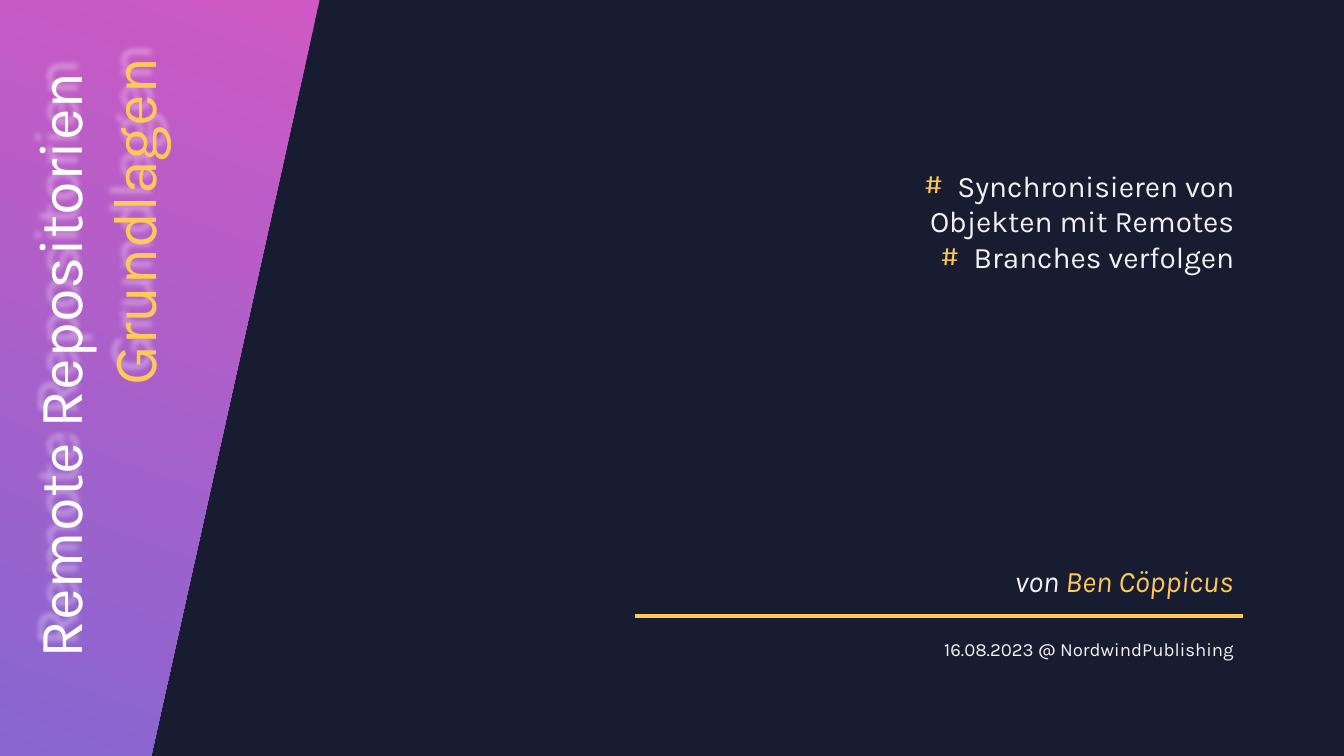
from lxml.etree import SubElement
from pptx import Presentation
from pptx.dml.color import RGBColor
from pptx.enum.shapes import MSO_CONNECTOR
from pptx.enum.text import MSO_AUTO_SIZE, PP_ALIGN
from pptx.oxml.ns import qn
from pptx.util import Inches, Pt

COLORS = {
    "night": "171C30",
    "pink": "CE59C4",
    "violet": "8766D0",
    "gold": "FFC955",
    "white": "FFFFFF",
    "pale": "F2F2F5",
}


def color(name):
    return RGBColor.from_string(COLORS[name])


def add_text(page, position, paragraphs, size, italic=None):
    """Add a right-aligned box; each paragraph is a list of (text, color)."""
    box = page.shapes.add_textbox(*[Inches(value) for value in position])
    frame = box.text_frame
    frame.word_wrap = True
    frame.auto_size = MSO_AUTO_SIZE.SHAPE_TO_FIT_TEXT
    for index, runs in enumerate(paragraphs):
        para = frame.add_paragraph() if index else frame.paragraphs[0]
        para.alignment = PP_ALIGN.RIGHT
        for text, color_name in runs:
            span = para.add_run()
            span.text = text
            span.font.name = "Karla"
            span.font.size = Pt(size)
            span.font.italic = italic
            span.font.color.rgb = color(color_name)
    return box


deck = Presentation()
deck.slide_width = Inches(13.33)
deck.slide_height = Inches(7.5)
page = deck.slides.add_slide(deck.slide_layouts[6])
page.background.fill.solid()
page.background.fill.fore_color.rgb = color("night")

# Slanted gradient panel
outline = page.shapes.build_freeform(0, 0, scale=Inches(1) / 100)
outline.add_line_segments([(317, 0), (150, 750), (0, 750)], close=True)
panel = outline.convert_to_shape()
panel.shadow.inherit = False
panel.line.fill.background()
panel.fill.gradient()
panel.fill.gradient_angle = 250
for stop, name, place in zip(panel.fill.gradient_stops, ("pink", "violet"), (0, 1)):
    stop.color.rgb = color(name)
    stop.position = place

# Vertical title with a soft light shadow
title = add_text(page, (-2.33, 2.96, 6.56, 1.58),
                 [[("Remote Repositorien ", "white")], [("Grundlagen", "gold")]], 44)
title.rotation = 270
effects = SubElement(title._element.spPr, qn("a:effectLst"))
shadow = SubElement(effects, qn("a:outerShdw"), blurRad=str(Pt(4)), dist=str(Pt(10)),
                    dir="14940000", algn="ctr", rotWithShape="0")
tint = SubElement(shadow, qn("a:srgbClr"), val=COLORS["white"])
SubElement(tint, qn("a:alpha"), val="40000")

# Topics with gold hash bullets
topics = add_text(page, (8.17, 1.61, 4.17, 1.18),
                  [[("Synchronisieren von Objekten mit Remotes", "pale")],
                   [("Branches verfolgen", "pale")]], 21.3)
for para in topics.text_frame.paragraphs:
    properties = para._p.get_or_add_pPr()
    properties.set("marL", str(Inches(0.33)))
    properties.set("indent", str(-Inches(0.33)))
    bullet_color = SubElement(properties, qn("a:buClr"))
    SubElement(bullet_color, qn("a:srgbClr"), val=COLORS["gold"])
    SubElement(properties, qn("a:buFont"), typeface="Karla")
    SubElement(properties, qn("a:buChar"), char="#")

# Author, rule and date
rule = page.shapes.add_connector(MSO_CONNECTOR.STRAIGHT, Inches(6.3), Inches(6.11),
                                 Inches(12.33), Inches(6.11))
rule.line.color.rgb = color("gold")
rule.line.width = Pt(3)
SubElement(rule._element.spPr, qn("a:effectLst"))
add_text(page, (7.89, 5.53, 4.44, 0.46),
         [[("von ", "pale"), ("Ben Cöppicus", "gold")]], 21.3, italic=True)
add_text(page, (7.28, 6.28, 5.06, 0.33),
         [[("16.08.2023 @ NordwindPublishing", "pale")]], 13.3)

deck.save("out.pptx")
